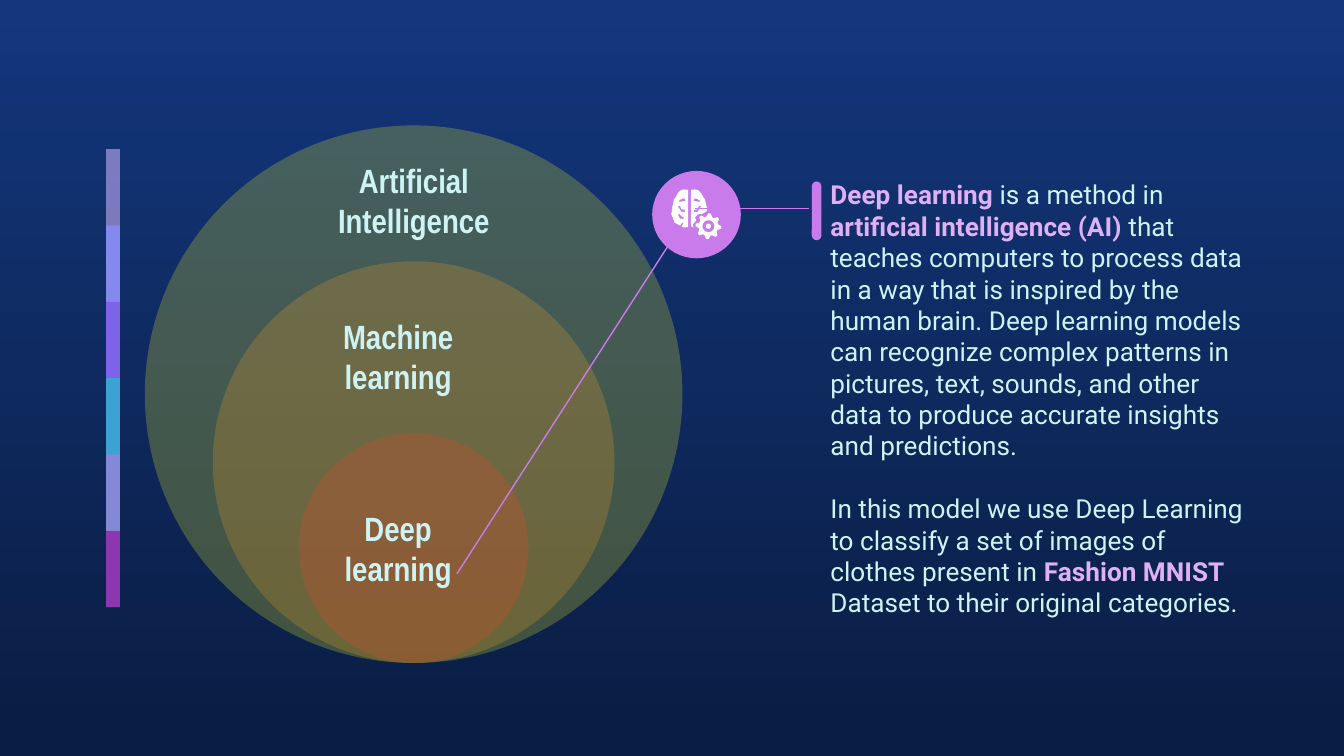
import math

from lxml import etree
from pptx import Presentation
from pptx.dml.color import RGBColor
from pptx.enum import shapes, text
from pptx.oxml import ns
from pptx.util import Pt

NIGHT_TOP = RGBColor(0x13, 0x36, 0x7C)
NIGHT_BOTTOM = RGBColor(0x0A, 0x1D, 0x42)
ICE = RGBColor(0xCE, 0xF3, 0xF5)
PINK = RGBColor(0xDF, 0xB0, 0xF3)
ORCHID = RGBColor(0xCA, 0x7B, 0xEB)
WHITE = RGBColor(0xFF, 0xFF, 0xFF)
LILAC = RGBColor(0xC8, 0xAE, 0xF8)
PERIWINKLE = RGBColor(0x87, 0x8F, 0xFF)
VIOLET = RGBColor(0x91, 0x54, 0xF8)
CYAN = RGBColor(0x35, 0xC2, 0xDF)
PURPLE = RGBColor(0x97, 0x2C, 0xB4)
YELLOW = RGBColor(0xE4, 0xEA, 0x27)
ORANGE = RGBColor(0xE9, 0x9B, 0x27)
RED = RGBColor(0xEA, 0x48, 0x27)

BAR_COLOURS = [(LILAC, 59), (PERIWINKLE, 74), (VIOLET, 53),
               (CYAN, 76), (ORCHID, 56), (PURPLE, 74)]
FIELD_CIRCLES = [(288, YELLOW), (215.2, ORANGE), (123, RED)]
FIELD_LABELS = [("Machine learning", 160, 172), ("Deep learning", 160, 275),
                ("Artificial Intelligence", 168.4, 88.6)]
EXPLANATION = [
    [("Deep learning ", True), ("is a method in ", False),
     ("artificial intelligence (AI)", True),
     (" that teaches computers to process data in a way that is inspired by "
      "the human brain. Deep learning models can recognize complex patterns "
      "in pictures, text, sounds, and other data to produce accurate insights "
      "and predictions.", False)],
    [("In this model we use Deep Learning to classify a set of images of "
      "clothes present in ", False), ("Fashion MNIST ", True),
     ("Dataset to their original categories.", False)],
]

LOBE = [(0.7, 0.2), (2.9, 0), (4.4, 0.3), (5.6, 1.3), (6.5, 2.4), (7.4, 4.2),
        (8.4, 5.4), (8.8, 8), (9.5, 10), (9.4, 11.6)]
LEFT_BASE = [(9.9, 13.2), (8.9, 15.2), (8, 17.8), (5.8, 18.9), (3.2, 20.4),
             (0.7, 20.2)]
RIGHT_BASE = [(7.2, 13), (4.4, 13.4), (3, 15), (3.6, 16.6), (1.8, 18.8),
              (2.2, 20.4), (0.7, 19.6)]
UPPER_FOLD = [(5.7, 6), (4, 5), (2.5, 5), (2.2, 6.3), (4, 6.4), (5.4, 6.8)]
MIDDLE_FOLD = [(6.3, 9), (5.1, 8.7), (4.3, 10.7), (2.5, 10.9), (2.4, 12.2),
               (4.4, 12)]
LOWER_FOLD = [(6.2, 13.6), (5.3, 13), (4.4, 14.4), (3.1, 14.7), (3.3, 15.8),
              (5.2, 15.6)]


def paint(shape, colour, opacity=100):
    shape.shadow.inherit = False
    shape.line.fill.background()
    shape.fill.solid()
    shape.fill.fore_color.rgb = colour
    if opacity < 100:
        srgb = shape.fill._xPr.find(".//" + ns.qn("a:srgbClr"))
        etree.SubElement(srgb, ns.qn("a:alpha"), val=str(opacity * 1000))


def add_filled(slide, kind, left, top, width, height, colour, opacity=100):
    shape = slide.shapes.add_shape(kind, Pt(left), Pt(top), Pt(width), Pt(height))
    paint(shape, colour, opacity)
    return shape


def add_outline(slide, contours, colour):
    contours = [[(Pt(x), Pt(y)) for x, y in contour] for contour in contours]
    builder = slide.shapes.build_freeform(*contours[0][0])
    builder.add_line_segments(contours[0][1:])
    for contour in contours[1:]:
        builder.move_to(*contour[0])
        builder.add_line_segments(contour[1:])
    paint(builder.convert_to_shape(), colour)


def add_leader(slide, x1, y1, x2, y2):
    leader = slide.shapes.add_connector(
        shapes.MSO_CONNECTOR.STRAIGHT, Pt(x1), Pt(y1), Pt(x2), Pt(y2))
    leader.line.color.rgb = ORCHID
    leader.line.width = Pt(0.75)
    etree.SubElement(leader._element.spPr, ns.qn("a:effectLst"))


def add_text_frame(slide, left, top, width, height):
    frame = slide.shapes.add_textbox(Pt(left), Pt(top), Pt(width), Pt(height)).text_frame
    frame.word_wrap = True
    frame.margin_left = frame.margin_right = Pt(7.2)
    frame.margin_top = frame.margin_bottom = Pt(7.2)
    return frame


def add_field_label(slide, wording, left, top):
    frame = add_text_frame(slide, left, top, 106.6, 37.4)
    frame.vertical_anchor = text.MSO_ANCHOR.MIDDLE
    label = frame.paragraphs[0]
    label.text = wording
    label.alignment = text.PP_ALIGN.CENTER
    label.font.name = "Arial Narrow"
    label.font.size = Pt(18)
    label.font.bold = True
    label.font.color.rgb = ICE


def add_explanation(slide):
    frame = add_text_frame(slide, 437.8, 88.6, 235.4, 133.9)
    for index, pieces in enumerate(EXPLANATION):
        paragraph = frame.add_paragraph() if index else frame.paragraphs[0]
        if index:
            paragraph.space_before = Pt(16.8)
        paragraph.font.name = "Roboto"
        paragraph.font.size = Pt(14)
        for wording, key_term in pieces:
            run = paragraph.add_run()
            run.text = wording
            run.font.bold = key_term
            run.font.color.rgb = PINK if key_term else ICE


def ring(radii, count, x, y):
    step = 2 * math.pi / count
    return [(x + radii[i % len(radii)] * math.cos(i * step),
             y + radii[i % len(radii)] * math.sin(i * step)) for i in range(count)]


def add_brain_icon(slide):
    add_filled(slide, shapes.MSO_SHAPE.OVAL, 349.4, 91.6, 47.5, 46.8, ORCHID)
    halves = [(-1, [LOBE + LEFT_BASE, UPPER_FOLD, MIDDLE_FOLD, LOWER_FOLD]),
              (1, [LOBE + RIGHT_BASE, UPPER_FOLD, MIDDLE_FOLD])]
    for side, contours in halves:
        placed = [[(369.4 + side * x, 101.5 + y) for x, y in contour]
                  for contour in contours]
        add_outline(slide, placed, WHITE)
    hub = (379.5, 121.2)
    add_outline(slide, [ring([6.9, 6.9, 5.2, 5.2], 32, *hub), ring([3.2], 24, *hub)], WHITE)
    add_filled(slide, shapes.MSO_SHAPE.OVAL, hub[0] - 1.4, hub[1] - 1.4, 2.8, 2.8, WHITE)


def add_colour_bars(slide):
    step = 40.9
    for index, (colour, opacity) in enumerate(BAR_COLOURS):
        height = step if index == len(BAR_COLOURS) - 1 else 2 * step
        add_filled(slide, shapes.MSO_SHAPE.RECTANGLE, 56.8, 79.9 + index * step,
                   7.4, height, colour, opacity)


def add_field_circles(slide):
    for diameter, colour in FIELD_CIRCLES:
        add_filled(slide, shapes.MSO_SHAPE.OVAL, 221.6 - diameter / 2,
                   355.2 - diameter, diameter, diameter, colour, 25)


def paint_background(slide):
    fill = slide.background.fill
    fill.gradient()
    fill.gradient_angle = 270
    for stop, colour in zip(fill.gradient_stops, (NIGHT_TOP, NIGHT_BOTTOM)):
        stop.color.rgb = colour


def main():
    deck = Presentation()
    deck.slide_width, deck.slide_height = Pt(720), Pt(405)
    slide = deck.slides.add_slide(deck.slide_layouts[6])
    paint_background(slide)
    add_colour_bars(slide)
    add_explanation(slide)
    add_field_circles(slide)
    for wording, left, top in FIELD_LABELS:
        add_field_label(slide, wording, left, top)
    add_brain_icon(slide)
    add_leader(slide, 244.8, 307.4, 365.8, 119.5)
    add_leader(slide, 372.2, 111.6, 433.4, 111.6)
    accent = add_filled(slide, shapes.MSO_SHAPE.ROUNDED_RECTANGLE,
                        434.9, 97.2, 5.2, 31.5, ORCHID)
    accent.adjustments[0] = 0.5
    deck.save("out.pptx")


if __name__ == "__main__":
    main()
